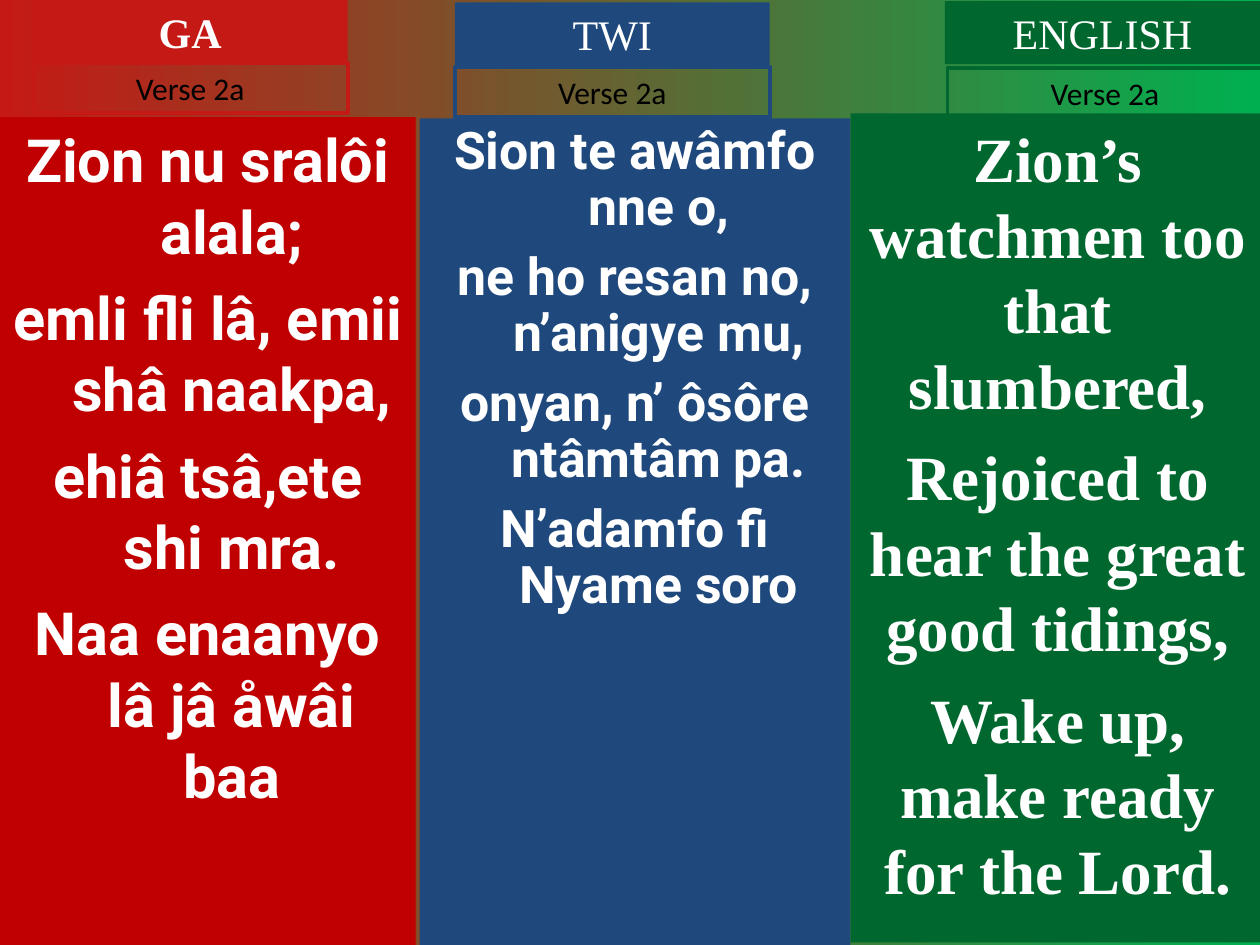
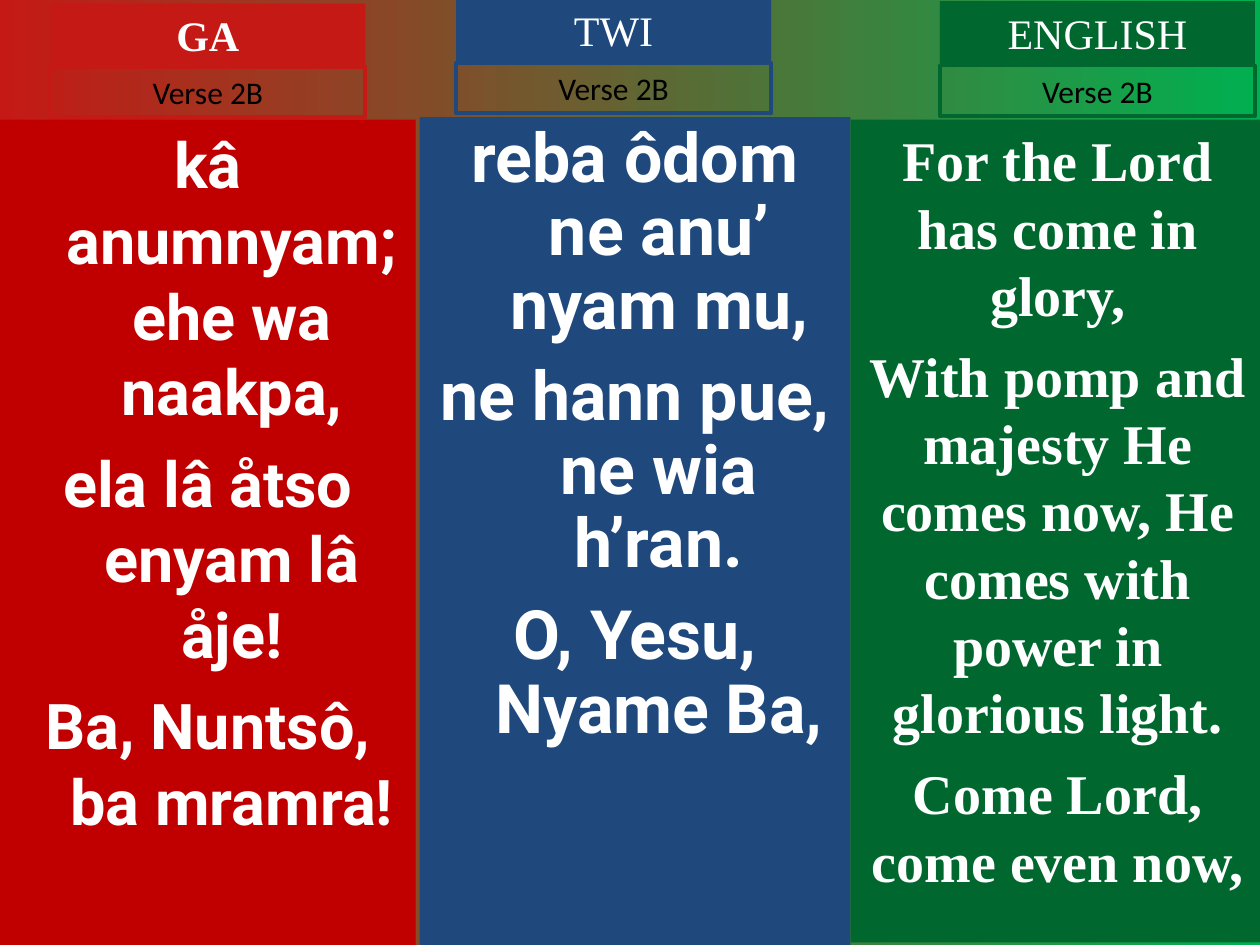
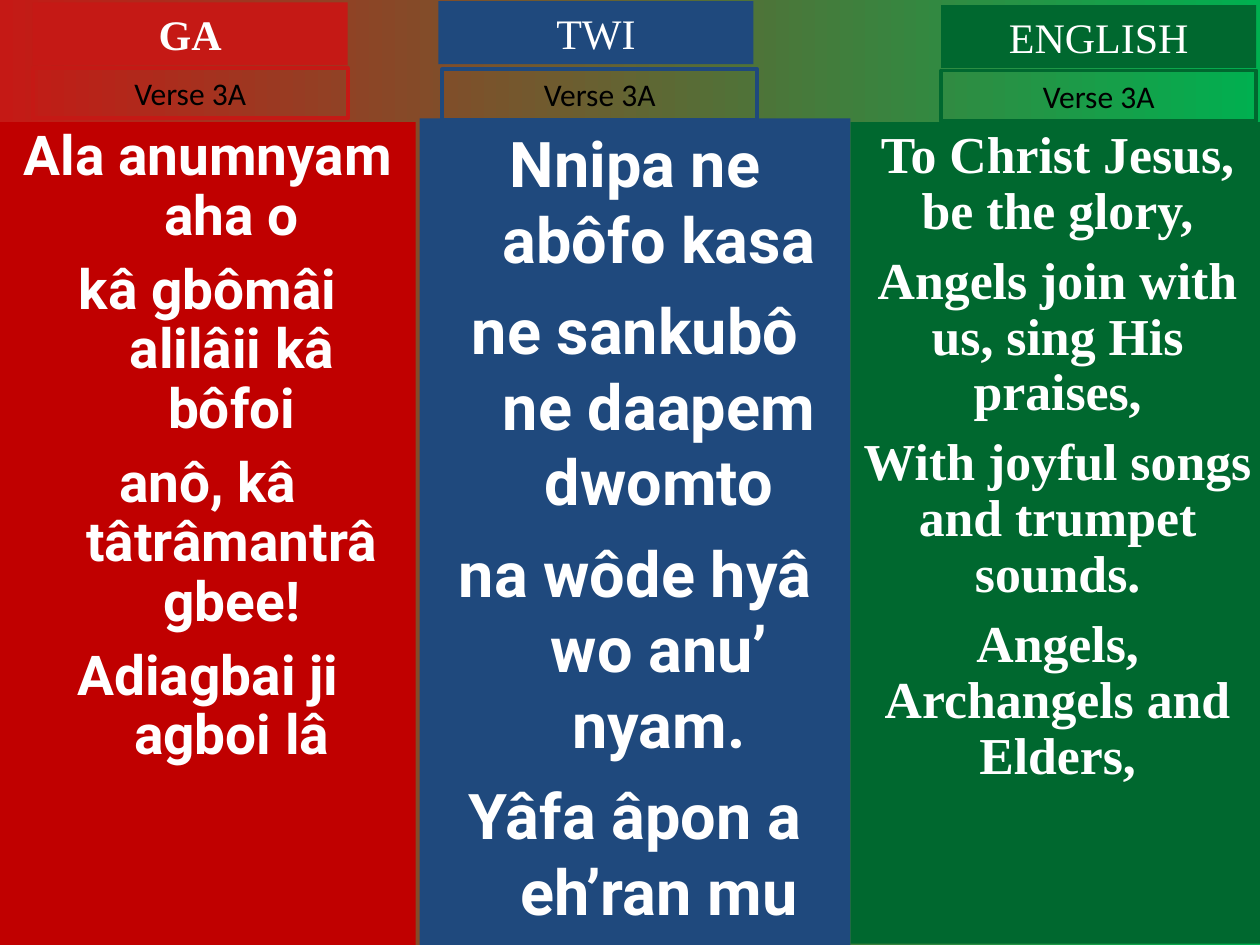
import pptx
import pptx.util
import pptx.dml.color
import pptx.enum.shapes
import pptx.enum.text
from pptx.util import Inches

COLORS = {
    "red": "C00000", "bright red": "C51915", "blue": "1F497D",
    "green": "00682F", "bright green": "00B050",
    "white": "FFFFFF", "black": "000000",
}

# Per language: title, body left and width, body fill, header colour, body font, hanging indent
LANGUAGES = [
    ("GA", 0, 3.3, "red", "bright red", "Roboto", 0.38),
    ("TWI", 3.33, 3.42, "blue", "blue", "Roboto", 0.38),
    ("ENGLISH", 6.75, 3.29, "green", "green", "Times New Roman", 0),
]

# Per verse and language: title position, label position, body top and bottom,
# font size, space before, line spacing, lyrics
VERSES = [
    ("Verse 2a", [
        ((0.26, 0), (0.26, 0.5), (0.93, 7.5), 34, 8.5, 1,
         ["Zion nu sralôi alala;", "emli fli lâ, emii shâ naakpa,",
          "ehiâ tsâ,ete shi mra.", "Naa enaanyo lâ jâ åwâi baa"]),
        ((3.61, 0.02), (3.61, 0.53), (0.94, 7.5), 29.6, 8, 0.9,
         ["Sion te awâmfo nne o,", "ne ho resan no, n’anigye mu,",
          "onyan, n’ ôsôre ntâmtâm pa.", "N’adamfo fi Nyame soro"]),
        ((7.5, 0.01), (7.52, 0.54), (0.9, 7.48), 36, 9, 1,
         ["Zion’s watchmen too that slumbered,",
          "Rejoiced to hear the great good tidings,",
          "Wake up, make ready for the Lord."]),
    ]),
    ("Verse 2B", [
        ((0.4, 0.03), (0.4, 0.53), (0.95, 7.5), 36, 9, 1,
         ["kâ anumnyam; ehe wa naakpa,", "ela lâ åtso enyam lâ åje!",
          "Ba, Nuntsô, ba mramra!"]),
        ((3.62, -0.01), (3.62, 0.5), (0.93, 7.5), 38.9, 10.5, 0.9,
         ["reba ôdom ne anu’ nyam mu,", "ne hann pue, ne wia h’ran.",
          "O, Yesu, Nyame Ba,"]),
        ((7.46, 0.01), (7.46, 0.52), (0.95, 7.48), 32, 8, 1,
         ["For the Lord has come in glory,",
          "With pomp and majesty He comes now, He comes with power in glorious light.",
          "Come Lord, come even now,"]),
    ]),
    ("Verse 3A", [
        ((0.26, 0.02), (0.26, 0.54), (0.97, 7.5), 31.4, 8.5, 0.9,
         ["Ala anumnyam aha o", "kâ gbômâi alilâii kâ bôfoi",
          "anô, kâ tâtrâmantrâ gbee!", "Adiagbai ji agboi lâ"]),
        ((3.48, 0.01), (3.51, 0.55), (0.94, 7.5), 36, 9, 1,
         ["Nnipa ne abôfo kasa", "ne sankubô ne daapem dwomto",
          "na wôde hyâ wo anu’ nyam.", "Yâfa âpon a eh’ran mu"]),
        ((7.47, 0.04), (7.47, 0.56), (0.97, 7.49), 29.6, 8, 0.9,
         ["To Christ Jesus, be the glory,", "Angels join with us, sing His praises,",
          "With joyful songs and trumpet sounds.", "Angels, Archangels and Elders,"]),
    ]),
]


def rgb(color):
    return pptx.dml.color.RGBColor.from_string(COLORS[color])


def add_panel(slide, left, top, width, height, lines, font, size, color, bold=False,
              fill=None, outline=None, indent=0, before=0, spacing=1):
    panel = slide.shapes.add_shape(
        pptx.enum.shapes.MSO_SHAPE.RECTANGLE,
        Inches(left), Inches(top), Inches(width), Inches(height))
    panel.shadow.inherit = False
    if fill:
        panel.fill.solid()
        panel.fill.fore_color.rgb = rgb(fill)
    else:
        panel.fill.background()
    if outline:
        panel.line.color.rgb = rgb(outline)
        panel.line.width = pptx.util.Pt(2.25)
    else:
        panel.line.fill.background()
    frame = panel.text_frame
    frame.word_wrap = True
    frame.vertical_anchor = pptx.enum.text.MSO_ANCHOR.TOP
    for number, line in enumerate(lines):
        paragraph = frame.add_paragraph() if number else frame.paragraphs[0]
        paragraph.alignment = pptx.enum.text.PP_ALIGN.CENTER
        paragraph.line_spacing = spacing
        if number:
            paragraph.space_before = pptx.util.Pt(before)
        if indent:
            properties = paragraph._p.get_or_add_pPr()
            properties.set("marL", str(Inches(indent)))
            properties.set("indent", str(Inches(-indent)))
        run = paragraph.add_run()
        run.text = line
        run.font.name = font
        run.font.size = pptx.util.Pt(size)
        run.font.bold = bold
        run.font.color.rgb = rgb(color)
    return panel


prs = pptx.Presentation()
prs.slide_width, prs.slide_height = Inches(10), Inches(7.5)

# Shared background, red to green
background = prs.slide_master.background.fill
background.gradient()
background.gradient_angle = 0
for stop, (position, color) in zip(background.gradient_stops,
                                   [(0, "bright red"), (1, "bright green")]):
    stop.position = position
    stop.color.rgb = rgb(color)

# One slide per verse, one column per language
for verse, columns in VERSES:
    slide = prs.slides.add_slide(prs.slide_layouts[6])
    for language, column in zip(LANGUAGES, columns):
        title, left, width, body_fill, header_color, body_font, indent = language
        title_at, label_at, (top, bottom), size, before, spacing, lyrics = column

        # Lyrics
        add_panel(slide, left, top, width, bottom - top, lyrics, body_font, size, "white",
                  bold=True, fill=body_fill, indent=indent, before=before, spacing=spacing)

        # Language title and verse label
        heading = add_panel(slide, *title_at, 2.5, 0.5, [title], "Times New Roman", 24,
                            "white", bold=title == "GA", fill=header_color)
        label = add_panel(slide, *label_at, 2.5, 0.4, [verse], "Calibri", 18,
                          "black", outline=header_color)
        for header in (heading, label):
            header.text_frame.auto_size = pptx.enum.text.MSO_AUTO_SIZE.SHAPE_TO_FIT_TEXT

prs.save("out.pptx")
